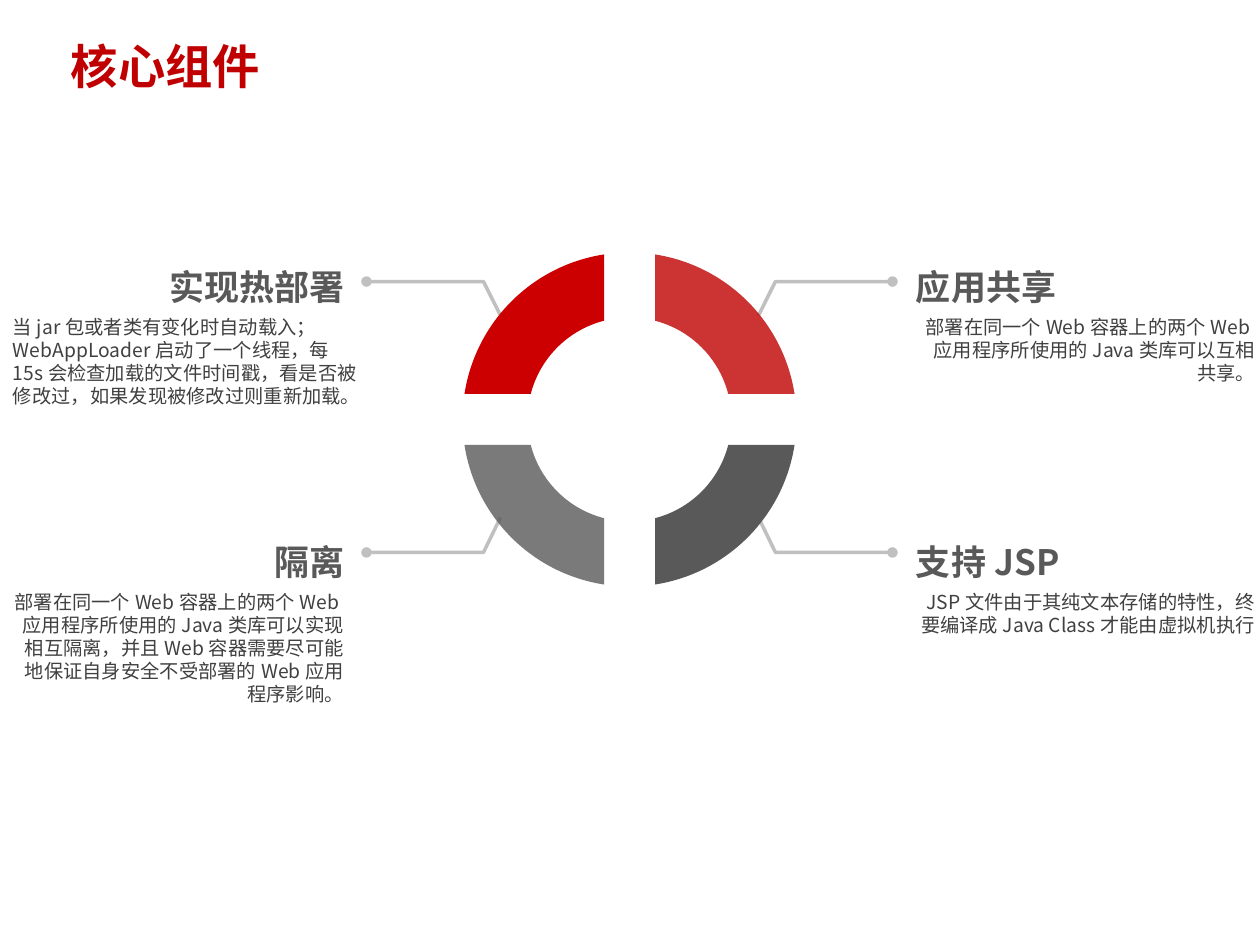
from math import asin, cos, pi, sin, tan

from lxml.etree import SubElement
from pptx import Presentation
from pptx.dml.color import RGBColor
from pptx.enum.text import MSO_ANCHOR as Anchor, PP_ALIGN as Align
from pptx.oxml.ns import qn
from pptx.util import Pt

PX = 914400 // 126  # EMU in one px
FONT = "Noto Sans CJK SC"

TITLE_RED = RGBColor(0xC0, 0x00, 0x00)
BRIGHT_RED = RGBColor(0xCC, 0x00, 0x00)
DARK_GRAY = RGBColor(0x59, 0x59, 0x59)
BODY_GRAY = RGBColor(0x40, 0x40, 0x40)
LINE_GRAY = RGBColor(0xC0, 0xC0, 0xC0)

# Ring geometry in px
CENTER_X, CENTER_Y = 629.5, 419.5
OUTER_RADIUS, INNER_RADIUS = 167, 102
HALF_GAP = 25.5

# Side (-1 left, 1 right), row (-1 top, 1 bottom), ring colour, opacity in %,
# heading, body, body left and width, body alignment
COMPONENTS = [
    (-1, -1, BRIGHT_RED, 100, "实现热部署",
     "当jar包或者类有变化时自动载入；WebAppLoader启动了一个线程，每15s会检查加载的"
     "文件时间戳，看是否被修改过，如果发现被修改过则重新加载。", 13, 349, Align.LEFT),
    (1, -1, TITLE_RED, 80, "应用共享",
     "部署在同一个Web容器上的两个Web应用程序所使用的Java类库可以互相共享。",
     916, 339, Align.RIGHT),
    (-1, 1, DARK_GRAY, 80, "隔离",
     "部署在同一个Web容器上的两个Web应用程序所使用的Java类库可以实现相互隔离，"
     "并且Web容器需要尽可能地保证自身安全不受部署的Web应用程序影响。",
     8, 336, Align.RIGHT),
    (1, 1, DARK_GRAY, 100, "支持JSP",
     "JSP文件由于其纯文本存储的特性，终要编译成Java Class才能由虚拟机执行",
     916, 339, Align.RIGHT),
]


def add_text(slide, box, text, size, color, bold=False, align=Align.LEFT,
             anchor=Anchor.TOP, spacing=None, margins=(0, 0)):
    shape = slide.shapes.add_textbox(*(value * PX for value in box))
    frame = shape.text_frame
    frame.word_wrap = True
    frame.vertical_anchor = anchor
    frame.margin_left = frame.margin_right = margins[0] * PX
    frame.margin_top = frame.margin_bottom = margins[1] * PX
    paragraph = frame.paragraphs[0]
    paragraph.alignment = align
    paragraph.line_spacing = spacing
    run = paragraph.add_run()
    run.text = text
    run.font.size = Pt(size)
    run.font.bold = bold
    run.font.name = FONT
    run.font.color.rgb = color
    # East Asian characters take their own font entry
    SubElement(run.font._element, qn("a:ea"), typeface=FONT)


def add_outline(slide, offsets, side, row, close):
    """Draw offsets from the ring centre, mirrored into one quadrant."""
    points = [(round((CENTER_X + side * x) * PX), round((CENTER_Y + row * y) * PX))
              for x, y in offsets]
    builder = slide.shapes.build_freeform(*points[0])
    builder.add_line_segments(points[1:], close=close)
    shape = builder.convert_to_shape()
    shape.shadow.inherit = False
    return shape


def add_leader(slide, side, row):
    start_y, end_y = (104, 138) if row < 0 else (98, 133)
    offsets = [(129, start_y), (146, end_y), (263, end_y)]
    shape = add_outline(slide, offsets, side, row, close=False)
    shape.fill.background()
    shape.line.color.rgb = LINE_GRAY
    shape.line.width = Pt(2)
    SubElement(shape.line._get_or_add_ln(), qn("a:tailEnd"), type="oval")


def arc_offsets(radius):
    """Start, two Bezier handles and end of one quadrant's arc."""
    start = asin(HALF_GAP / radius)
    end = pi / 2 - start
    handle = radius * 4 / 3 * tan((end - start) / 4)
    x1, y1 = radius * cos(start), radius * sin(start)
    x2, y2 = radius * cos(end), radius * sin(end)
    return [(x1, y1),
            (x1 - handle * sin(start), y1 + handle * cos(start)),
            (x2 + handle * sin(end), y2 - handle * cos(end)),
            (x2, y2)]


def bend_segments(segments):
    """Merge three line segments into one Bezier curve."""
    curve = segments[0].makeelement(qn("a:cubicBezTo"))
    segments[0].addprevious(curve)
    for segment in segments:
        curve.append(segment[0])
        segment.getparent().remove(segment)


def add_ring_part(slide, side, row, color, opacity):
    offsets = arc_offsets(OUTER_RADIUS) + arc_offsets(INNER_RADIUS)[::-1]
    shape = add_outline(slide, offsets, side, row, close=True)
    lines = list(shape._element.iter(qn("a:lnTo")))
    bend_segments(lines[0:3])
    bend_segments(lines[4:7])
    shape.fill.solid()
    shape.fill.fore_color.rgb = color
    shape.line.fill.background()
    if opacity < 100:
        fill_color = shape._element.spPr.find(qn("a:solidFill"))[0]
        SubElement(fill_color, qn("a:alpha"), val=str(opacity * 1000))


def add_component(slide, side, row, color, opacity, heading, body,
                  body_left, body_width, body_align):
    add_leader(slide, side, row)
    add_ring_part(slide, side, row, color, opacity)
    heading_left, heading_align = (25, Align.RIGHT) if side < 0 else (916, Align.LEFT)
    heading_top = 205 if row < 0 else 480
    add_text(slide, (heading_left, heading_top, 320, 103), heading, 20, DARK_GRAY,
             bold=True, align=heading_align, anchor=Anchor.BOTTOM, spacing=1.2)
    add_text(slide, (body_left, heading_top + 110, body_width, 160), body, 11,
             BODY_GRAY, align=body_align)


def main():
    presentation = Presentation()
    presentation.slide_width = 1260 * PX
    presentation.slide_height = 945 * PX
    slide = presentation.slides.add_slide(presentation.slide_layouts[6])

    # Title
    add_text(slide, (59, 16, 833, 100), "核心组件", 27, TITLE_RED, bold=True,
             anchor=Anchor.MIDDLE, margins=(12, 6))

    # Four ring parts with their leaders and texts
    for component in COMPONENTS:
        add_component(slide, *component)

    presentation.save("out.pptx")


if __name__ == "__main__":
    main()
